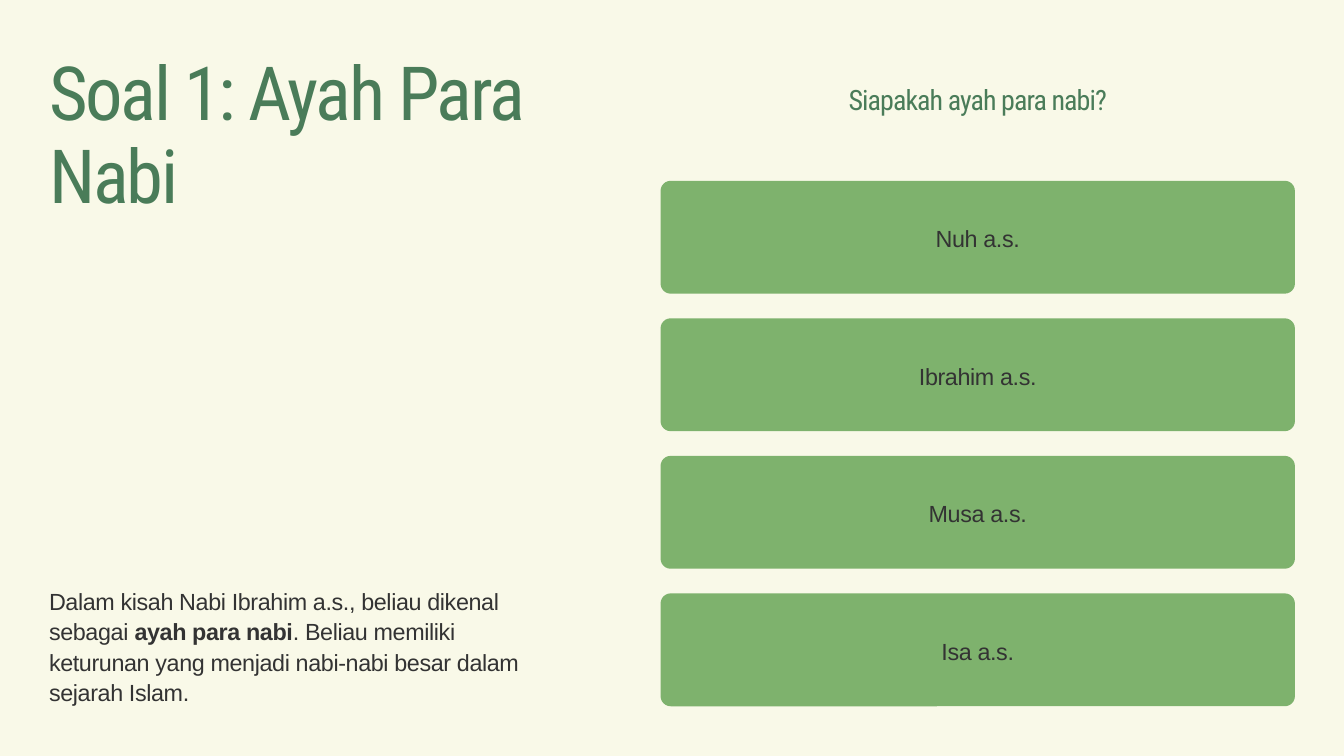
from collections import namedtuple

from pptx import Presentation
from pptx.dml.color import RGBColor
from pptx.enum.shapes import MSO_SHAPE as Preset
from pptx.enum.text import MSO_ANCHOR as Anchor, MSO_AUTO_SIZE as AutoSize, PP_ALIGN as Align
from pptx.util import Inches, Pt

CREAM = RGBColor(0xF9, 0xF9, 0xE8)
FOREST = RGBColor(0x4A, 0x7C, 0x59)
LEAF = RGBColor(0x7E, 0xB2, 0x6D)
INK = RGBColor(0x33, 0x33, 0x33)

Box = namedtuple("Box", "left top width height")
Style = namedtuple("Style", "font size color tracking leading align anchor")

TITLE = Style("Roboto Condensed", 80, FOREST, -2.4, 88, Align.LEFT, Anchor.TOP)
QUESTION = Style("Roboto Condensed", 30, FOREST, -1, 39, Align.CENTER, Anchor.TOP)
BODY = Style("Arial", 25, INK, -0.4, 32.5, Align.LEFT, Anchor.TOP)
ANSWER = Style("Arial", 25, INK, -0.4, 35, Align.CENTER, Anchor.MIDDLE)

LEFT_COLUMN = Box(0.73, 0.8, 7.53, 9.72)
RIGHT_COLUMN = Box(9.83, 1.18, 9.44, 9.33)
ANSWERS = ["Nuh a.s.", "Ibrahim a.s.", "Musa a.s.", "Isa a.s."]


def inches(box):
    return [Inches(length) for length in box]


def write(shape, parts, style):
    frame = shape.text_frame
    frame.word_wrap = True
    frame.auto_size = AutoSize.NONE
    frame.vertical_anchor = style.anchor
    frame.margin_left = frame.margin_top = frame.margin_right = frame.margin_bottom = 0
    paragraph = frame.paragraphs[0]
    paragraph.alignment = style.align
    paragraph.line_spacing = Pt(style.leading)
    paragraph.space_before = Pt(0)
    for text, bold in parts:
        run = paragraph.add_run()
        run.text = text
        run.font.name = style.font
        run.font.size = Pt(style.size)
        run.font.bold = bold
        run.font.color.rgb = style.color
        run.font._element.set("spc", str(round(style.tracking * 100)))


def add_story(slide, box):
    title = slide.shapes.title
    title.left, title.top, title.width, title.height = inches(box._replace(height=2.48))
    write(title, [("Soal 1: Ayah Para Nabi", False)], TITLE)

    height = 1.82
    bottom_box = box._replace(top=box.top + box.height - height, height=height)
    story = slide.shapes.add_textbox(*inches(bottom_box))
    write(story, [
        ("Dalam kisah Nabi Ibrahim a.s., beliau dikenal sebagai ", False),
        ("ayah para nabi", True),
        (". Beliau memiliki keturunan yang menjadi nabi-nabi besar dalam sejarah Islam.", False),
    ], BODY)


def add_quiz(slide, box):
    question = slide.shapes.add_textbox(*inches(box._replace(height=0.53)))
    write(question, [("Siapakah ayah para nabi?", False)], QUESTION)

    first_top, height = box.top + 1.51, 1.68
    pitch = (box.top + box.height - height - first_top) / (len(ANSWERS) - 1)
    for row, answer in enumerate(ANSWERS):
        answer_box = box._replace(top=first_top + row * pitch, height=height)
        button = slide.shapes.add_shape(Preset.ROUNDED_RECTANGLE, *inches(answer_box))
        button.adjustments[0] = 0.09
        button.shadow.inherit = False
        button.fill.solid()
        button.fill.fore_color.rgb = LEAF
        button.line.fill.background()
        write(button, [(answer, False)], ANSWER)
        button.text_frame.margin_bottom = Inches(0.04)


def main():
    presentation = Presentation()
    presentation.slide_width = Inches(20)
    presentation.slide_height = Inches(11.25)
    slide = presentation.slides.add_slide(presentation.slide_layouts[5])
    slide.background.fill.solid()
    slide.background.fill.fore_color.rgb = CREAM
    add_story(slide, LEFT_COLUMN)
    add_quiz(slide, RIGHT_COLUMN)
    presentation.save("out.pptx")


if __name__ == "__main__":
    main()
